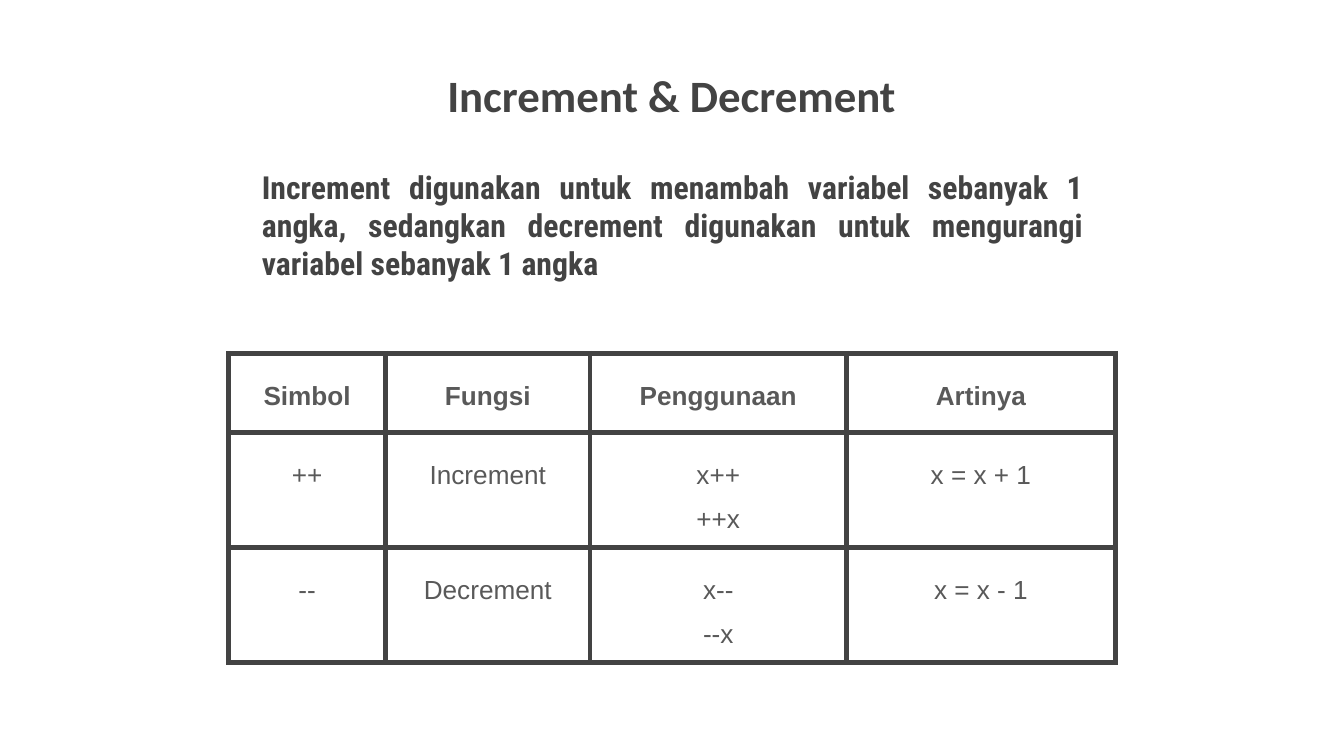
from lxml.etree import SubElement
from pptx import Presentation
from pptx.dml.color import RGBColor
from pptx.enum.text import MSO_ANCHOR as Anchor, MSO_AUTO_SIZE as AutoSize, PP_ALIGN as Align
from pptx.oxml.ns import qn
from pptx.util import Cm, Pt

DARK = RGBColor(0x43, 0x43, 0x43)
GRAY = RGBColor(0x59, 0x59, 0x59)
INSET = Cm(0.25)
BORDER_WIDTH = Pt(3)

COLUMN_WIDTHS = [2.97, 3.86, 4.85, 5.08]
ROW_HEIGHTS = [1.5, 2.17, 2.17]
OPERATORS = [
    ["Simbol", "Fungsi", "Penggunaan", "Artinya"],
    ["++", "Increment", "x++\n++x", "x = x + 1"],
    ["--", "Decrement", "x--\n--x", "x = x - 1"],
]


def write_text(text_frame, text, *, font, size, color, bold=False,
               align=Align.CENTER, line_spacing=1.0):
    text_frame.text = text
    for paragraph in text_frame.paragraphs:
        properties = paragraph._p.get_or_add_pPr()
        properties.set("marL", "0")
        properties.set("indent", "0")
        SubElement(properties, qn("a:buNone"))
        paragraph.alignment = align
        paragraph.line_spacing = line_spacing
        paragraph.space_before = Pt(0)
        for run in paragraph.runs:
            run.font.name = font
            run.font.size = Pt(size)
            run.font.bold = bold
            run.font.color.rgb = color


def set_insets(target):
    """Give a cell or a text frame the same margin on every side."""
    target.margin_left = target.margin_right = INSET
    target.margin_top = target.margin_bottom = INSET


def fill_placeholder(shape, left, top, width, height, text, *, anchor, **text_format):
    shape.left, shape.top, shape.width, shape.height = map(Cm, (left, top, width, height))
    text_frame = shape.text_frame
    text_frame.word_wrap = True
    text_frame.auto_size = AutoSize.NONE
    text_frame.vertical_anchor = anchor
    set_insets(text_frame)
    write_text(text_frame, text, color=DARK, bold=True, **text_format)


def add_borders(cell):
    properties = cell._tc.get_or_add_tcPr()
    for side in ("lnL", "lnR", "lnT", "lnB"):
        line = SubElement(properties, qn(f"a:{side}"), w=str(BORDER_WIDTH))
        fill = SubElement(line, qn("a:solidFill"))
        SubElement(fill, qn("a:srgbClr"), val=str(DARK))


def add_operator_table(slide, left, top):
    frame = slide.shapes.add_table(
        len(OPERATORS), len(COLUMN_WIDTHS), Cm(left), Cm(top),
        Cm(sum(COLUMN_WIDTHS)), Cm(sum(ROW_HEIGHTS)))
    table = frame.table
    table.first_row = table.horz_banding = False
    for column, width in zip(table.columns, COLUMN_WIDTHS):
        column.width = Cm(width)
    for row_index, (row, height) in enumerate(zip(table.rows, ROW_HEIGHTS)):
        row.height = Cm(height)
        for cell, text in zip(row.cells, OPERATORS[row_index]):
            set_insets(cell)
            add_borders(cell)
            cell.fill.background()
            write_text(cell.text_frame, text, font="Arial", size=14, color=GRAY,
                       bold=row_index == 0, line_spacing=1.5)


def main():
    presentation = Presentation()
    presentation.slide_width = Cm(25.4)
    presentation.slide_height = Cm(14.29)
    slide = presentation.slides.add_slide(presentation.slide_layouts[1])

    fill_placeholder(slide.shapes.title, 4.83, 0.94, 15.72, 1.68,
                     "Increment & Decrement", anchor=Anchor.MIDDLE,
                     font="Calibri", size=24)
    fill_placeholder(slide.placeholders[1], 4.7, 2.92, 16.03, 3.12,
                     "Increment digunakan untuk menambah variabel sebanyak 1 angka, "
                     "sedangkan decrement digunakan untuk mengurangi variabel "
                     "sebanyak 1 angka", anchor=Anchor.TOP,
                     font="Roboto Condensed", size=17, align=Align.JUSTIFY)
    add_operator_table(slide, 4.32, 6.68)

    presentation.save("out.pptx")


if __name__ == "__main__":
    main()
